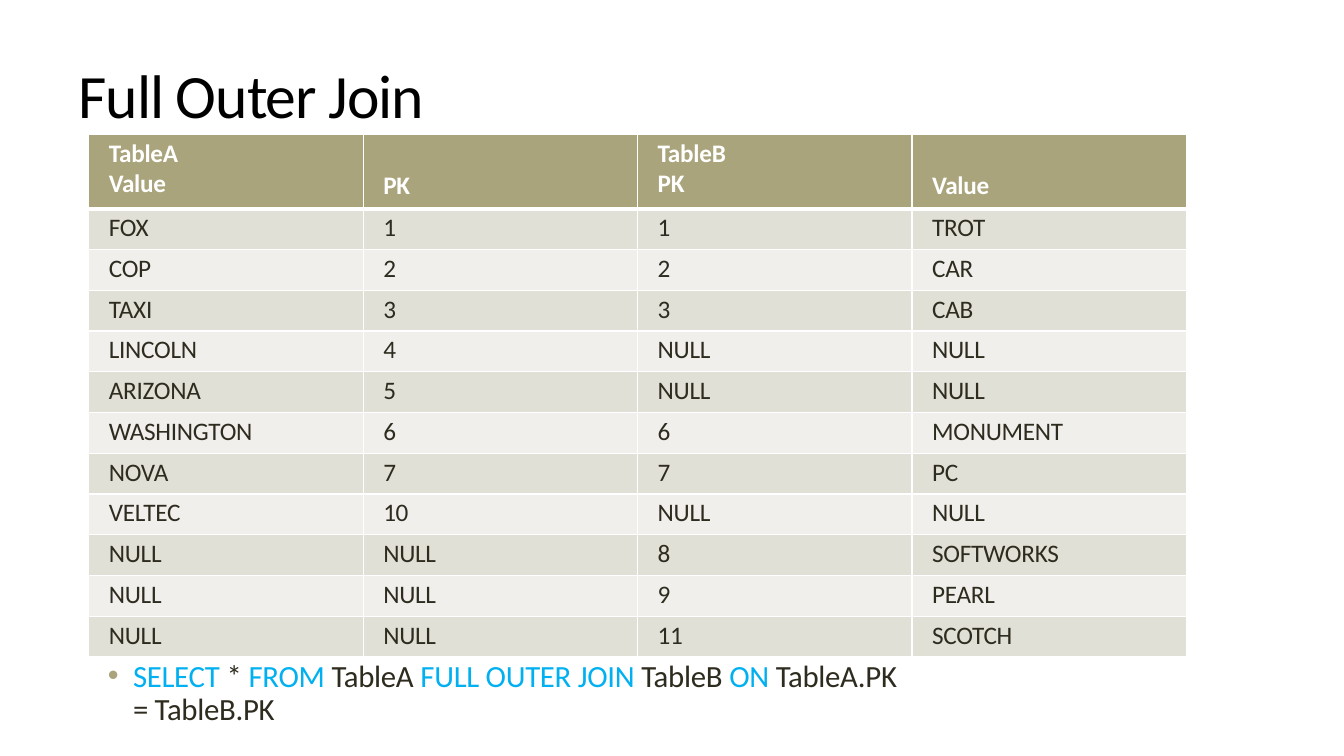
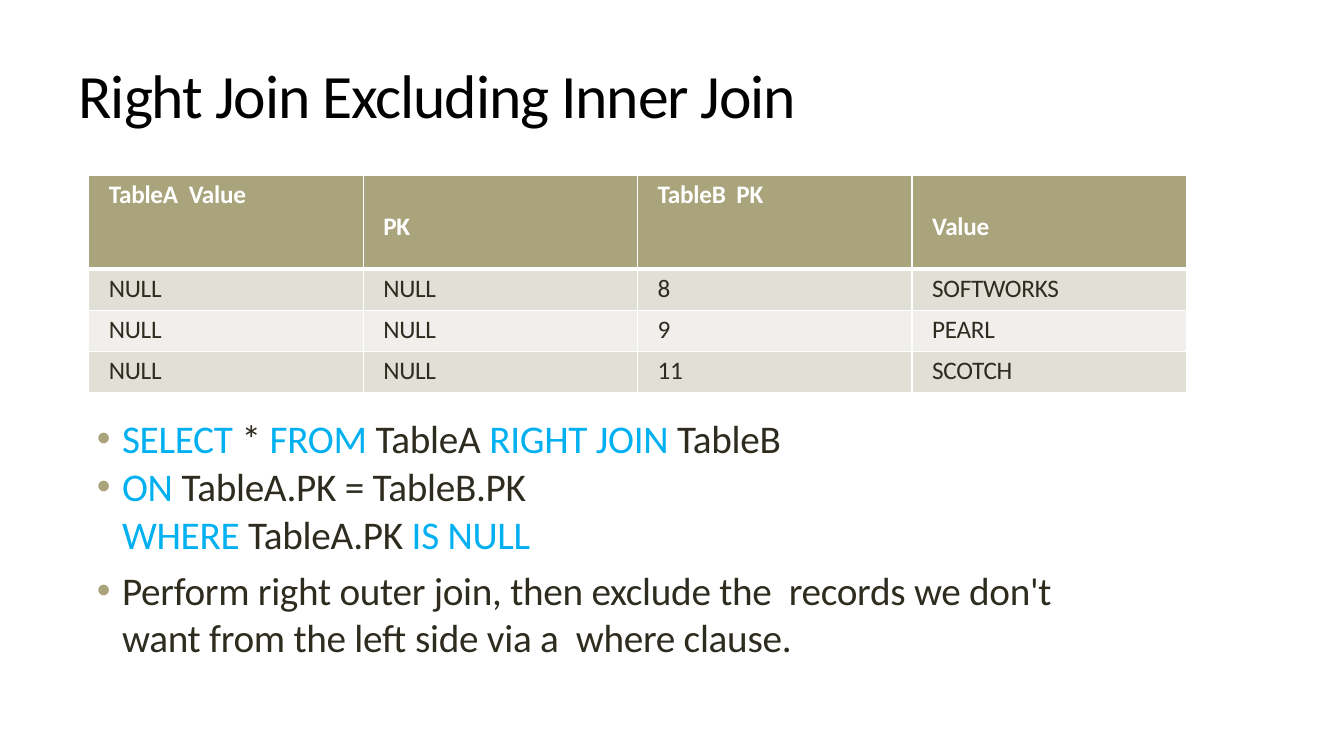
from lxml.etree import SubElement
from pptx import Presentation
from pptx.dml.color import RGBColor
from pptx.enum.text import MSO_ANCHOR as Anchor, MSO_AUTO_SIZE as AutoSize, PP_ALIGN as Align
from pptx.oxml.ns import qn
from pptx.util import Inches, Pt

COLOURS = {
    "title": "000000", "text": "2E2B1F", "keyword": "00B0F0", "accent": "A9A47B",
    "odd_row": "E1E0D6", "even_row": "F0EFEB", "white": "FFFFFF",
}
FONT = "Calibri"
SLIDE_W, SLIDE_H = Inches(13.33), Inches(7.5)

# Shared table grid, in percent of the slide
TABLE_LEFT, TABLE_WIDTH = 6.6, 81.68
THIN, THICK = 0.96, 3

UNMATCHED_RIGHT = [
    ("NULL", "NULL", "8", "SOFTWORKS"),
    ("NULL", "NULL", "9", "PEARL"),
    ("NULL", "NULL", "11", "SCOTCH"),
]
FULL_JOIN = [
    ("FOX", "1", "1", "TROT"),
    ("COP", "2", "2", "CAR"),
    ("TAXI", "3", "3", "CAB"),
    ("LINCOLN", "4", "NULL", "NULL"),
    ("ARIZONA", "5", "NULL", "NULL"),
    ("WASHINGTON", "6", "6", "MONUMENT"),
    ("NOVA", "7", "7", "PC"),
    ("VELTEC", "10", "NULL", "NULL"),
] + UNMATCHED_RIGHT


def across(percent):
    return round(SLIDE_W * percent / 100)


def down(percent):
    return round(SLIDE_H * percent / 100)


def colour(key):
    return RGBColor.from_string(COLOURS[key])


def place(holder, left, top, width, height):
    holder.left, holder.top = across(left), down(top)
    holder.width, holder.height = across(width), down(height)
    frame = holder.text_frame
    frame.word_wrap, frame.auto_size = True, AutoSize.NONE
    frame.margin_left = frame.margin_right = frame.margin_bottom = 0
    frame.margin_top = Inches(0.02)
    return frame


def add_run(paragraph, text, size, key, bold=False, tracking=-0.2):
    run = paragraph.add_run()
    run.text = text
    font = run.font
    font.name, font.size, font.bold = FONT, Pt(size), bold
    font.color.rgb = colour(key)
    run._r.get_or_add_rPr().set("spc", str(round(tracking * 100)))


def add_title(slide, text):
    frame = place(slide.shapes.title, 5.85, 0.3, 79.35, 23.87)
    frame.vertical_anchor = Anchor.MIDDLE
    heading = frame.paragraphs[0]
    heading.alignment = Align.LEFT
    add_run(heading, text, 44, "title", tracking=-0.8)


def set_bullet(paragraph):
    props = paragraph._p.get_or_add_pPr()
    props.set("marL", str(Inches(0.26)))
    props.set("indent", str(-Inches(0.25)))
    tint = SubElement(props, qn("a:buClr"))
    SubElement(tint, qn("a:srgbClr"), val=COLOURS["accent"])
    SubElement(props, qn("a:buChar"), char="•")


def add_bullets(slide, box, bullets, size, line_spacing, gaps):
    """Text between bars is an SQL keyword; a newline breaks the line."""
    frame = place(slide.placeholders[1], *box)
    frame.vertical_anchor = Anchor.TOP
    for index, (bullet, gap) in enumerate(zip(bullets, gaps)):
        paragraph = frame.add_paragraph() if index else frame.paragraphs[0]
        set_bullet(paragraph)
        paragraph.alignment = Align.LEFT
        paragraph.space_before, paragraph.line_spacing = Pt(gap), line_spacing
        for number, line in enumerate(bullet.split("\n")):
            if number:
                paragraph.add_line_break()
            for part, text in enumerate(line.split("|")):
                if text:
                    add_run(paragraph, text, size, "keyword" if part % 2 else "text")


def set_borders(cell, top, bottom):
    props = cell._tc.get_or_add_tcPr()
    for side, width in zip("LRTB", (THIN, THIN, top, bottom)):
        line = SubElement(props, qn(f"a:ln{side}"), w=str(Pt(width)))
        fill = SubElement(line, qn("a:solidFill"))
        SubElement(fill, qn("a:srgbClr"), val=COLOURS["white"])


def fill_cell(cell, text, row):
    header = row == 0
    set_borders(cell, THICK if row == 1 else THIN, THICK if header else THIN)
    cell.fill.solid()
    band = "accent" if header else "odd_row" if row % 2 else "even_row"
    cell.fill.fore_color.rgb = colour(band)
    cell.vertical_anchor = Anchor.TOP
    cell.margin_left, cell.margin_right, cell.margin_bottom = Inches(0.2), 0, 0
    # Headings without a table name sit on the second line
    lowered = header and not text.startswith("Table")
    cell.margin_top = Inches(0.36 if lowered else 0.04)
    for index, line in enumerate(text.split("\n")):
        paragraph = cell.text_frame.add_paragraph() if index else cell.text_frame.paragraphs[0]
        add_run(paragraph, line, 18, "white" if header else "text", bold=header)


def add_join_table(slide, top, bottom, header_height, headings, records):
    rows = [headings] + records
    table = slide.shapes.add_table(
        len(rows), len(headings), across(TABLE_LEFT), down(top),
        across(TABLE_WIDTH), down(bottom - top)).table
    for column in table.columns:
        column.width = across(TABLE_WIDTH / len(headings))
    record_height = (bottom - top - header_height) / len(records)
    for index, texts in enumerate(rows):
        table.rows[index].height = down(record_height if index else header_height)
        for column, text in enumerate(texts):
            fill_cell(table.cell(index, column), text, index)


def main():
    deck = Presentation()
    deck.slide_width, deck.slide_height = SLIDE_W, SLIDE_H
    layout = deck.slide_layouts[1]

    # Full outer join
    full = deck.slides.add_slide(layout)
    add_title(full, "Full Outer Join")
    add_bullets(full, (7.95, 87.07, 80.12, 8.93), [
        "|SELECT| * |FROM| TableA |FULL OUTER JOIN| TableB |ON| TableA.PK\n= TableB.PK",
    ], 22, Pt(23.8), [0])
    add_join_table(full, 17.73, 86.93, 9.87,
                   ("TableA\nValue", "PK", "TableB\nPK", "Value"), FULL_JOIN)

    # Right join without the matches
    right = deck.slides.add_slide(layout)
    add_title(right, "Right Join Excluding Inner Join")
    add_bullets(right, (7.13, 54.53, 74.34, 38.93), [
        "|SELECT| * |FROM| TableA |RIGHT JOIN| TableB",
        "|ON| TableA.PK = TableB.PK\n|WHERE| TableA.PK |IS NULL|",
        "Perform right outer join, then exclude the  records we don't "
        "want from the left side via a  where clause.",
    ], 28, 1.0, [0, 1, 6.8])
    add_join_table(right, 23.2, 51.87, 12.4,
                   ("TableA  Value", "PK", "TableB  PK", "Value"), UNMATCHED_RIGHT)

    deck.save("out.pptx")


if __name__ == "__main__":
    main()
